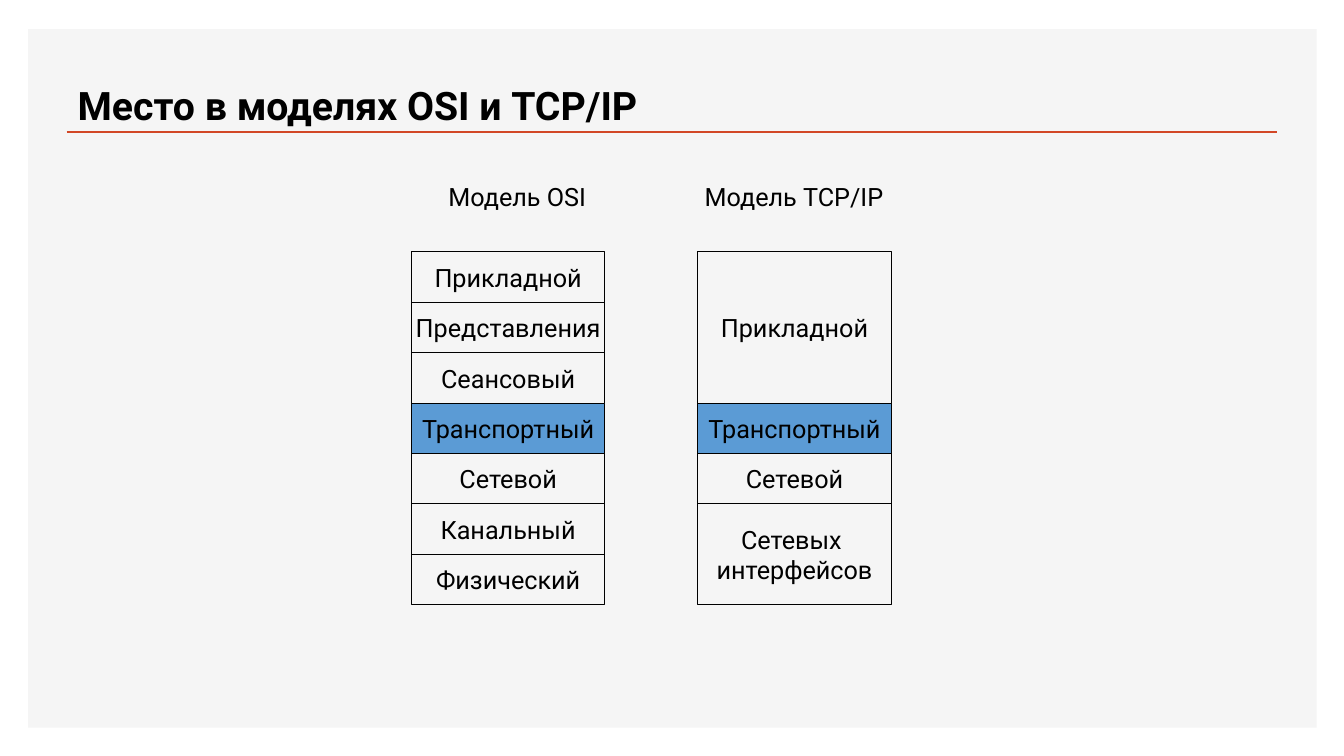
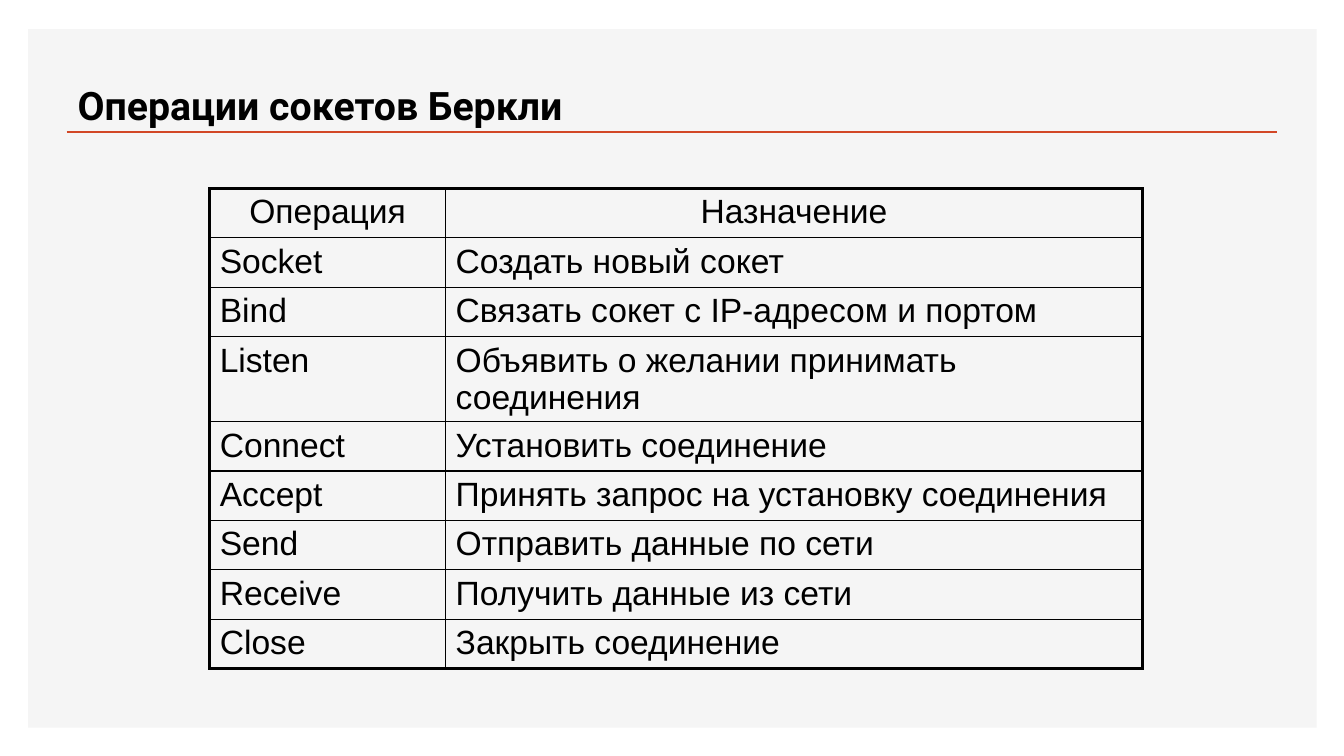
from dataclasses import dataclass

from lxml import etree
from pptx import Presentation
from pptx import util as u
from pptx.dml.color import RGBColor
from pptx.enum import shapes, text
from pptx.oxml import ns

PX = 9144  # EMU in one px, 100 px to the inch


def px(*lengths):
    return [u.Emu(length * PX) for length in lengths]


def apply(target, **values):
    for name, value in values.items():
        setattr(target, name, value)


@dataclass(frozen=True)
class Theme:
    ink: str = "000000"
    panel: str = "F5F5F5"
    rule: str = "D24726"
    accent: str = "5B9BD5"
    font: str = "Roboto"
    table_font: str = "Arial"
    title_size: int = 28
    label_size: int = 18
    table_size: int = 24
    rule_width: float = 2
    box_line: float = 0.75
    inner_border: float = 1
    outer_border: float = 2.25


class Slides:
    def __init__(self, theme):
        self.theme = theme
        self.deck = Presentation()
        self.deck.slide_width, self.deck.slide_height = px(1333, 750)
        self.layout = self.deck.slide_layouts[5]
        self.page = None
        self.framed = False

    # Shared frame: grey panel and title rule, kept on the layout
    def frame(self):
        for holder in list(self.layout.placeholders):
            if holder.placeholder_format.idx:
                holder.element.getparent().remove(holder.element)
        panel = self.box((28, 29, 1278, 693), fill=self.theme.panel)
        rule = self.rule((66, 131), (1267, 131))
        for index, shape in enumerate((panel, rule), start=2):
            self.layout.shapes.element.insert(index, shape.element)
        self.framed = True

    def add_page(self, title):
        self.page = self.deck.slides.add_slide(self.layout)
        if not self.framed:
            self.frame()
        holder = self.page.shapes.title
        apply(holder, **dict(zip(("left", "top", "width", "height"),
                                 px(67, 17, 1200, 115))))
        apply(holder.text_frame, auto_size=text.MSO_AUTO_SIZE.NONE,
              vertical_anchor=text.MSO_ANCHOR.BOTTOM)
        self.put_text(holder.text_frame, title, self.theme.title_size,
                      align=text.PP_ALIGN.LEFT, bold=True)

    # Text in any frame, one paragraph a line
    def put_text(self, frame, words, size, align=text.PP_ALIGN.CENTER,
                 font=None, bold=False):
        for index, line in enumerate(words.split("\n")):
            para = frame.add_paragraph() if index else frame.paragraphs[0]
            para.alignment = align
            span = para.add_run()
            span.text = line
            apply(span.font, name=font or self.theme.font, size=u.Pt(size), bold=bold)
            span.font.color.rgb = RGBColor.from_string(self.theme.ink)

    def label(self, place, words):
        frame = self.page.shapes.add_textbox(*px(*place)).text_frame
        apply(frame, word_wrap=True, auto_size=text.MSO_AUTO_SIZE.SHAPE_TO_FIT_TEXT)
        self.put_text(frame, words, self.theme.label_size)

    def box(self, place, words=None, fill=None):
        box = self.page.shapes.add_shape(shapes.MSO_SHAPE.RECTANGLE, *px(*place))
        box.shadow.inherit = False
        if fill:
            box.fill.solid()
            box.fill.fore_color.rgb = RGBColor.from_string(fill)
        else:
            box.fill.background()
        if words:
            box.line.color.rgb = RGBColor.from_string(self.theme.ink)
            box.line.width = u.Pt(self.theme.box_line)
            apply(box.text_frame, word_wrap=False,
                  vertical_anchor=text.MSO_ANCHOR.MIDDLE)
            self.put_text(box.text_frame, words, self.theme.label_size)
        else:
            box.line.fill.background()
        return box

    def rule(self, start, end):
        rule = self.page.shapes.add_connector(
            shapes.MSO_CONNECTOR.STRAIGHT, *px(*start, *end))
        rule.line.color.rgb = RGBColor.from_string(self.theme.rule)
        rule.line.width = u.Pt(self.theme.rule_width)
        etree.SubElement(rule.element.spPr, ns.qn("a:effectLst"))
        return rule

    # Layers stacked downwards, each a number of units high
    def stack(self, left, top, width, unit, layers, accent):
        for words, units in layers:
            self.box((left, top, width, units * unit), words,
                     self.theme.accent if words == accent else None)
            top += units * unit

    def table(self, left, top, widths, row_height, rows):
        grid = self.page.shapes.add_table(
            len(rows), len(widths),
            *px(left, top, sum(widths), row_height * len(rows))).table
        apply(grid, first_row=False, horz_banding=False)
        for column, width in zip(grid.columns, px(*widths)):
            column.width = width
        for r, row in enumerate(rows):
            grid.rows[r].height, = px(row_height)
            for c, words in enumerate(row):
                cell = grid.cell(r, c)
                cell.fill.background()
                self.put_text(cell.text_frame, words, self.theme.table_size,
                              text.PP_ALIGN.LEFT if r else text.PP_ALIGN.CENTER,
                              self.theme.table_font)
                self.borders(cell, L=c == 0, R=c == len(widths) - 1,
                             T=r == 0, B=r == len(rows) - 1)

    # Cell borders, heavier on the sides that are marked as outer
    def borders(self, cell, **sides):
        properties = cell._tc.get_or_add_tcPr()
        for index, (side, outer) in enumerate(sides.items()):
            width = self.theme.outer_border if outer else self.theme.inner_border
            line = etree.Element(ns.qn(f"a:ln{side}"), w=str(u.Pt(width)))
            fill = etree.SubElement(line, ns.qn("a:solidFill"))
            etree.SubElement(fill, ns.qn("a:srgbClr"), val=self.theme.ink)
            properties.insert(index, line)


OSI_LAYERS = [(name, 1) for name in (
    "Прикладной", "Представления", "Сеансовый", "Транспортный",
    "Сетевой", "Канальный", "Физический")]
TCP_LAYERS = [("Прикладной", 3), ("Транспортный", 1), ("Сетевой", 1),
              ("Сетевых \nинтерфейсов", 2)]
OPERATIONS = [
    ("Операция", "Назначение"),
    ("Socket", "Создать новый сокет"),
    ("Bind", "Связать сокет с IP-адресом и портом"),
    ("Listen", "Объявить о желании принимать соединения"),
    ("Connect", "Установить соединение"),
    ("Accept", "Принять запрос на установку соединения"),
    ("Send", "Отправить данные по сети"),
    ("Receive", "Получить данные из сети"),
    ("Close", "Закрыть соединение"),
]


def main():
    slides = Slides(Theme())

    # Layer models side by side
    slides.add_page("Место в моделях OSI и TCP/IP")
    slides.label((417, 175, 192, 40), "Модель OSI")
    slides.label((675, 175, 225, 40), "Модель TCP/IP")
    for left, layers in ((408, OSI_LAYERS), (692, TCP_LAYERS)):
        slides.stack(left, 250, 192, 50, layers, accent="Транспортный")

    # Socket operations
    slides.add_page("Операции сокетов Беркли")
    slides.table(208, 187, (234, 691), 49, OPERATIONS)

    slides.deck.save("out.pptx")


if __name__ == "__main__":
    main()
